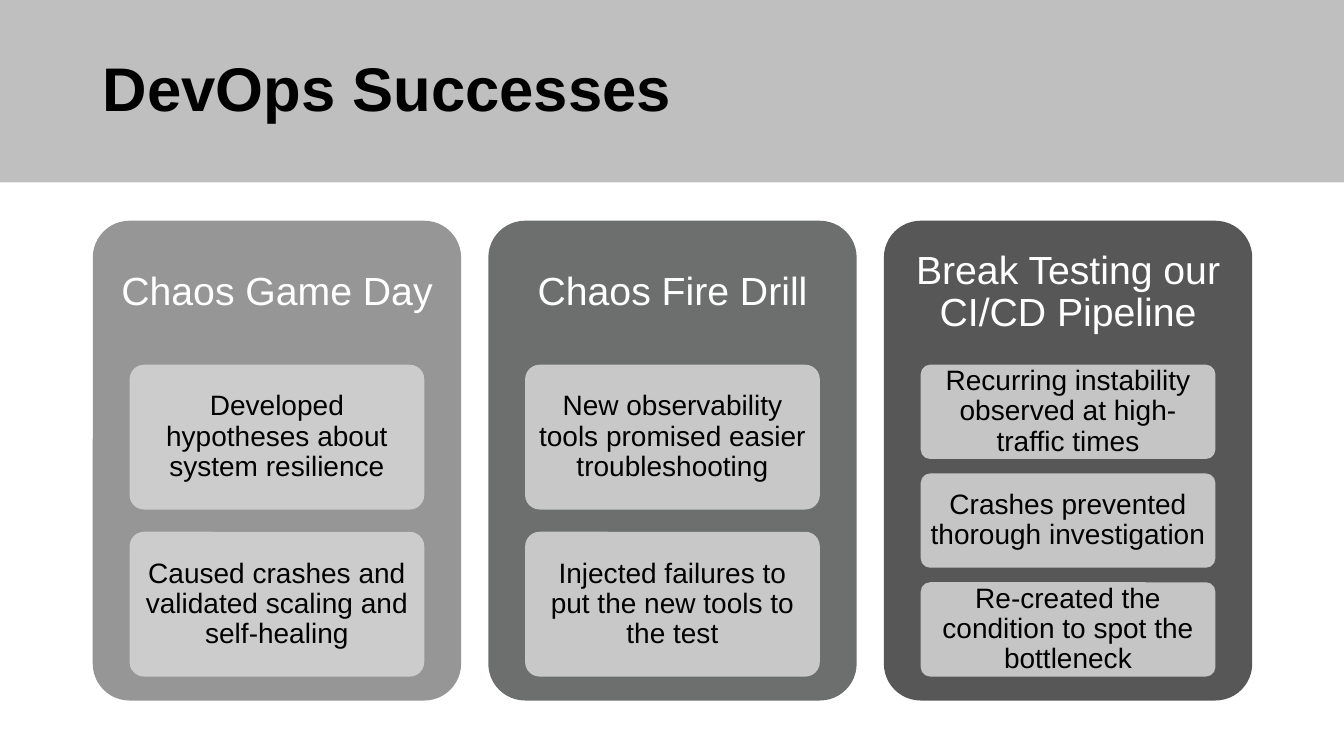
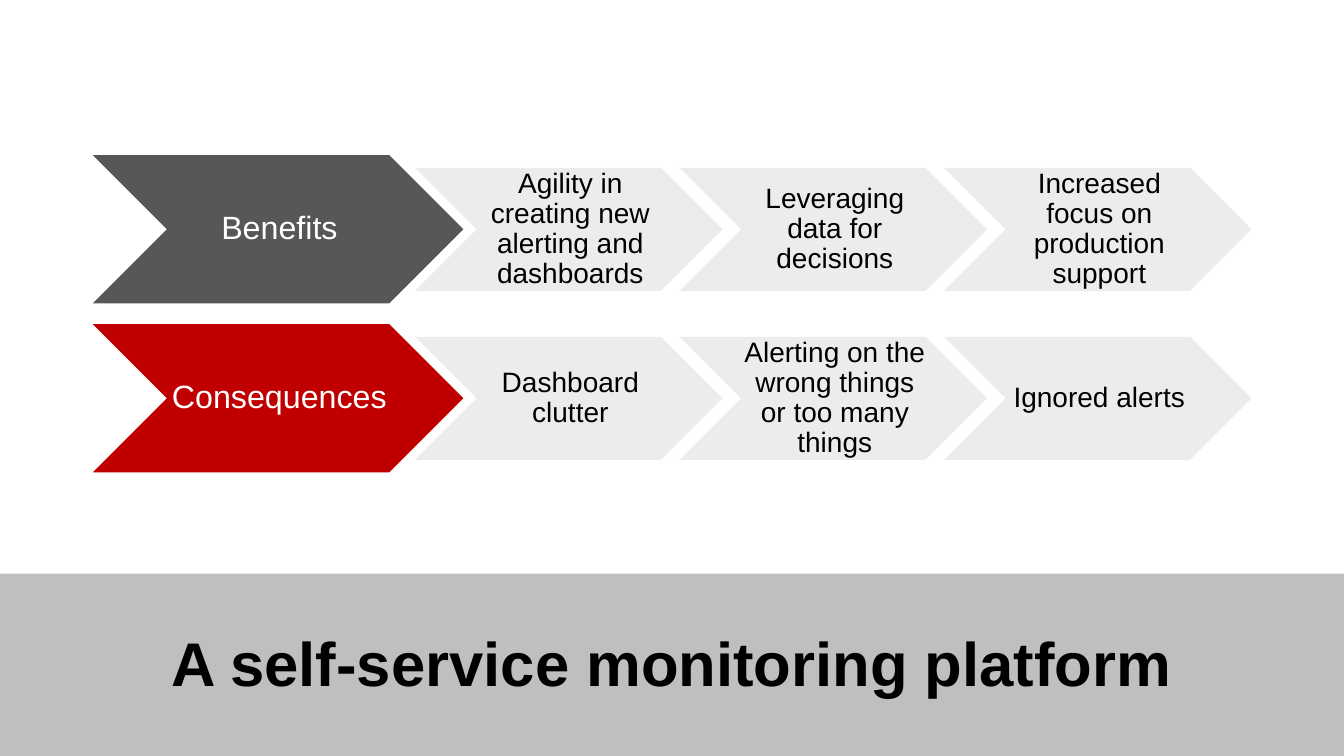
from lxml import etree
from pptx import Presentation
from pptx.dml.color import RGBColor
from pptx.enum.shapes import MSO_SHAPE
from pptx.enum.text import MSO_ANCHOR, MSO_AUTO_SIZE, PP_ALIGN
from pptx.oxml.ns import qn
from pptx.util import Inches, Pt

RECT, ROUND, CHEVRON = MSO_SHAPE.RECTANGLE, MSO_SHAPE.ROUNDED_RECTANGLE, MSO_SHAPE.CHEVRON
LEFT, CENTER = PP_ALIGN.LEFT, PP_ALIGN.CENTER
MIDDLE, NO_FIT = MSO_ANCHOR.MIDDLE, MSO_AUTO_SIZE.NONE

W, H = 13.33, 7.5
MARGIN, CONTENT_W = 0.92, 11.5
BAND_H, TITLE_H = 1.81, 1.45
FONT = "Arial"
BLACK, WHITE, BAND = "000000", "FFFFFF", "BFBFBF"
LIGHT, MID, DARK, RED = "969696", "6D6E6E", "575757", "C00000"
CARD, STEP = "D2D2D2", "EBEBEB"

COLUMNS = [
    ("Chaos Game Day", LIGHT,
     ["Developed hypotheses about system resilience",
      "Caused crashes and validated scaling and self-healing"]),
    ("Chaos Fire Drill", MID,
     ["New observability tools promised easier troubleshooting",
      "Injected failures to put the new tools to the test"]),
    ("Break Testing our CI/CD Pipeline", DARK,
     ["Recurring instability observed at high-traffic times",
      "Crashes prevented thorough investigation",
      "Re-created the condition to spot the bottleneck"]),
]
ROWS = [
    ("Benefits", DARK,
     ["Agility in creating new alerting and dashboards",
      "Leveraging data for decisions",
      "Increased focus on production support"]),
    ("Consequences", RED,
     ["Dashboard clutter",
      "Alerting on the wrong things or too many things",
      "Ignored alerts"]),
]


def rgb(color):
    """Turn a hex string into a colour."""
    return RGBColor.from_string(color)


def box(x, y, w, h):
    """Convert a box in inches to slide units."""
    return [Inches(v) for v in (x, y, w, h)]


def write(sp, text, size, color, align=CENTER, bold=False, insets=(0.1, 0.05, 0.1, 0.05)):
    """Set and format the one paragraph of a shape."""
    tf = sp.text_frame
    tf.text = text
    tf.word_wrap = True
    tf.auto_size = NO_FIT
    tf.vertical_anchor = MIDDLE
    tf.margin_left, tf.margin_top, tf.margin_right, tf.margin_bottom = box(*insets)
    p = tf.paragraphs[0]
    p.alignment = align
    p.line_spacing = 0.9
    font = p.runs[0].font
    font.name, font.size, font.bold = FONT, Pt(size), bold
    font.color.rgb = rgb(color)


def add_block(s, kind, area, fill, alpha=100):
    """Add a borderless filled shape, with opacity in percent."""
    sp = s.shapes.add_shape(kind, *box(*area))
    sp.shadow.inherit = False
    sp.line.fill.background()
    sp.fill.solid()
    sp.fill.fore_color.rgb = rgb(fill)
    if alpha < 100:
        color = sp.element.spPr.find(qn("a:solidFill"))[0]
        etree.SubElement(color, qn("a:alpha")).set("val", str(alpha * 1000))
    return sp


def add_titled_slide(prs, title, band_y, title_area, align):
    """Add a title-only slide with a grey band behind its title."""
    s = prs.slides.add_slide(prs.slide_layouts[5])
    sp = s.shapes.title
    sp.left, sp.top, sp.width, sp.height = box(*title_area)
    write(sp, title, 44, BLACK, align, bold=True)
    band = add_block(s, RECT, (0, band_y, W, BAND_H), BAND)
    sp.element.addprevious(band.element)
    return s


def add_column(s, area, heading, fill, items):
    """Draw a panel with a heading and evenly stacked cards."""
    x, y, w, h = area
    panel = add_block(s, ROUND, area, fill)
    panel.adjustments[0] = 0.1
    head = s.shapes.add_textbox(*box(x, y, w, 0.3 * h))
    write(head, heading, 28, WHITE, insets=(0.12,) * 4)
    gap_share = 2 / 13
    card_h = 0.65 * h / (len(items) + (len(items) - 1) * gap_share)
    for i, item in enumerate(items):
        card_y = y + 0.3 * h + i * card_h * (1 + gap_share)
        card = add_block(s, ROUND, (x + 0.1 * w, card_y, 0.8 * w, card_h), CARD, 90)
        card.adjustments[0] = 0.1
        write(card, item, 20, BLACK, insets=(0.06, 0.04, 0.06, 0.04))


def add_chevron_row(s, x, y, h, label, fill, steps):
    """Draw a leading chevron followed by smaller overlapping ones."""
    lead_w = 2.5 * h
    lead = add_block(s, CHEVRON, (x, y, lead_w, h), fill)
    write(lead, label, 23, WHITE, insets=(0.03, 0.02, 0, 0.02))
    step_w, step_h = 0.83 * lead_w, 0.83 * h
    for i, text in enumerate(steps):
        step_x = x + 0.87 * lead_w + i * 0.86 * step_w
        step = add_block(s, CHEVRON, (step_x, y + (h - step_h) / 2, step_w, step_h), STEP, 90)
        write(step, text, 20, BLACK, insets=(0.03, 0.01, 0, 0.01))


def build_successes(prs):
    """Build the slide of three columns."""
    s = add_titled_slide(prs, "DevOps Successes", 0,
                         (MARGIN, 0.18, CONTENT_W, TITLE_H), LEFT)
    gap = 0.27
    col_w = (CONTENT_W - gap * (len(COLUMNS) - 1)) / len(COLUMNS)
    for i, column in enumerate(COLUMNS):
        add_column(s, (MARGIN + i * (col_w + gap), 2.19, col_w, 4.76), *column)


def build_platform(prs):
    """Build the slide of two chevron rows."""
    s = add_titled_slide(prs, "A self-service monitoring platform", H - BAND_H,
                         (0, 5.89, W, TITLE_H), CENTER)
    row_h = 1.47
    for i, row in enumerate(ROWS):
        add_chevron_row(s, MARGIN, 1.54 + i * 1.14 * row_h, row_h, *row)


def main():
    """Create and save the presentation."""
    prs = Presentation()
    prs.slide_width, prs.slide_height = Inches(W), Inches(H)
    build_successes(prs)
    build_platform(prs)
    prs.save("out.pptx")


if __name__ == "__main__":
    main()
